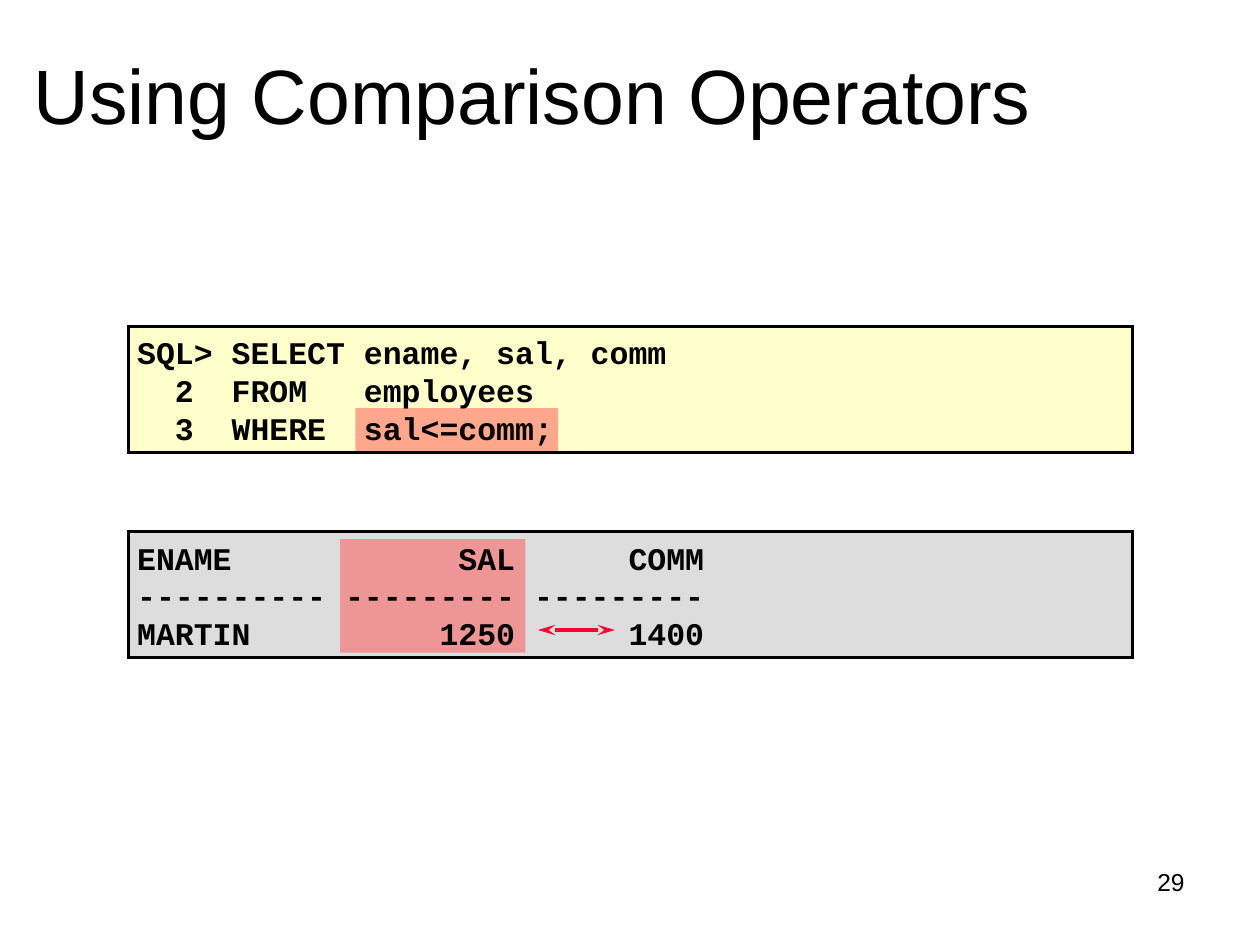
from dataclasses import dataclass
from typing import Optional

import pptx
import pptx.dml.color
import pptx.enum.shapes
import pptx.enum.text
import pptx.oxml
import pptx.oxml.ns
import pptx.util

COLUMNS, ROWS = 100, 75
CELL = pptx.util.Inches(0.1)
ALIGN = pptx.enum.text.PP_ALIGN
ANCHOR = pptx.enum.text.MSO_ANCHOR
NAMESPACE = pptx.oxml.ns.nsdecls("a")


@dataclass(frozen=True)
class Theme:
    ink: str = "000000"
    query: str = "FFFFCC"
    result: str = "DDDDDD"
    highlight: str = "FF5050"
    arrow: str = "FF0033"
    prose_font: str = "Arial"
    code_font: str = "Courier New"
    title_size: int = 44
    code_size: int = 18
    number_size: int = 14
    line_width: int = 2
    highlight_alpha: int = 50


@dataclass(frozen=True)
class Area:
    column: float
    row: float
    columns: float
    rows: float

    def box(self) -> tuple[int, ...]:
        return tuple(cells(n) for n in (self.column, self.row, self.columns, self.rows))


@dataclass(frozen=True)
class Listing:
    row: float
    fill: str
    highlight: Area
    lines: tuple[str, ...]


THEME = Theme()
LISTINGS = (
    Listing(25.9, THEME.query, Area(28.2, 32.4, 16.1, 3.4), (
        "SQL> SELECT ename, sal, comm",
        "  2  FROM   employees",
        "  3  WHERE  sal<=comm;",
    )),
    Listing(42.2, THEME.result, Area(27, 42.8, 14.7, 9), (
        "ENAME            SAL      COMM",
        "---------- --------- ---------",
        "MARTIN          1250      1400",
    )),
)


def cells(count: float) -> int:
    return round(count * CELL)


def rgb(value: str) -> pptx.dml.color.RGBColor:
    return pptx.dml.color.RGBColor.from_string(value)


def apply(target, formats: dict) -> None:
    for attribute, value in formats.items():
        setattr(target, attribute, value)


def append_tag(parent, tag: str) -> None:
    parent.append(pptx.oxml.parse_xml(f"<a:{tag} {NAMESPACE}/>"))


def set_line(line, color: str):
    line.color.rgb = rgb(color)
    line.width = pptx.util.Pt(THEME.line_width)
    return line._get_or_add_ln()


def add_panel(slide, area: Area, fill: str, outline: Optional[str] = None,
              alpha: Optional[int] = None) -> None:
    panel = slide.shapes.add_shape(pptx.enum.shapes.MSO_SHAPE.RECTANGLE, *area.box())
    panel.shadow.inherit = False
    panel.fill.solid()
    panel.fill.fore_color.rgb = rgb(fill)
    if outline:
        append_tag(set_line(panel.line, outline), 'miter lim="800000"')
    else:
        panel.line.fill.background()
    if alpha is not None:
        color = panel.fill._xPr.find(".//" + pptx.oxml.ns.qn("a:srgbClr"))
        append_tag(color, f'alpha val="{alpha * 1000}"')


def add_text(slide, area: Area, lines: tuple[str, ...], font: dict,
             frame: Optional[dict] = None, paragraph: Optional[dict] = None) -> None:
    text = slide.shapes.add_textbox(*area.box()).text_frame
    apply(text, {"word_wrap": True, **(frame or {})})
    text.text = "\n".join(lines)
    for line in text.paragraphs:
        apply(line, paragraph or {})
        apply(line.font, font)
        line.font.color.rgb = rgb(THEME.ink)


def add_double_arrow(slide, column: float, row: float, columns: float) -> None:
    arrow = slide.shapes.add_connector(
        pptx.enum.shapes.MSO_CONNECTOR.STRAIGHT,
        cells(column), cells(row), cells(column + columns), cells(row))
    outline = set_line(arrow.line, THEME.arrow)
    for end in ("headEnd", "tailEnd"):
        append_tag(outline, f'{end} type="stealth" w="med" len="lg"')
    append_tag(outline.getparent(), "effectLst")


def main() -> None:
    deck = pptx.Presentation()
    apply(deck, {"slide_width": COLUMNS * CELL, "slide_height": ROWS * CELL})
    slide = deck.slides.add_slide(deck.slide_layouts[6])

    add_text(slide, Area(71.7, 68.3, 23.3, 5.2), ("29",),
             {"name": THEME.prose_font, "size": pptx.util.Pt(THEME.number_size)},
             paragraph={"alignment": ALIGN.RIGHT})
    for listing in LISTINGS:
        add_panel(slide, Area(10.2, listing.row, 79.7, 10), listing.fill, THEME.ink)
    add_text(slide, Area(1.7, 3.3, 85, 12.5), ("Using Comparison Operators",),
             {"name": THEME.prose_font, "size": pptx.util.Pt(THEME.title_size)})
    for listing in LISTINGS:
        add_panel(slide, listing.highlight, THEME.highlight, alpha=THEME.highlight_alpha)
    for listing in LISTINGS:
        add_text(slide, Area(9.9, listing.row - 0.1, 80, 10.3), listing.lines,
                 {"name": THEME.code_font, "size": pptx.util.Pt(THEME.code_size), "bold": True},
                 {"vertical_anchor": ANCHOR.MIDDLE})
    add_double_arrow(slide, 42.7, 50, 6.1)
    deck.save("out.pptx")


if __name__ == "__main__":
    main()
